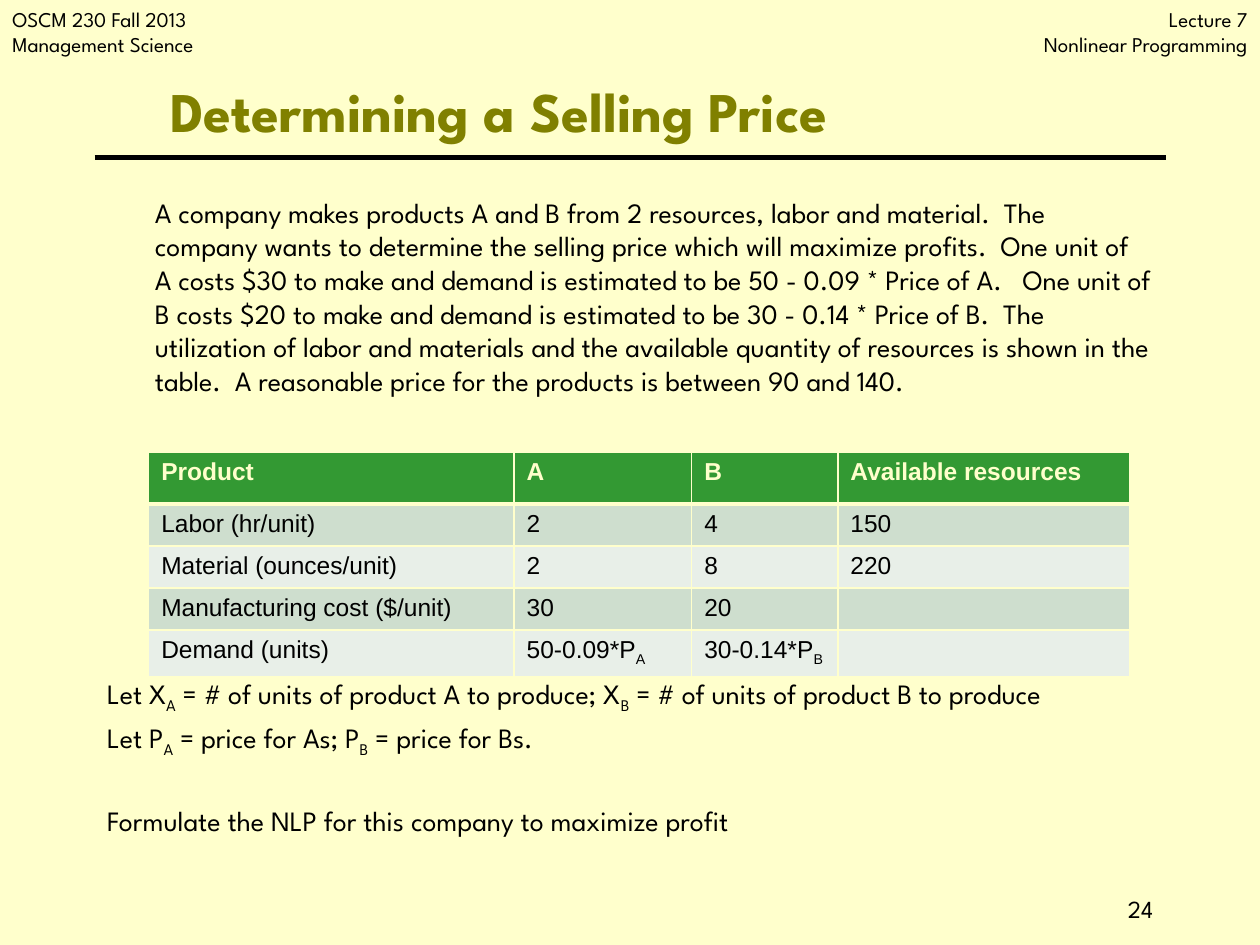
from dataclasses import dataclass

from lxml import etree
from pptx import Presentation
from pptx.dml.color import RGBColor
from pptx.enum.shapes import MSO_CONNECTOR
from pptx.enum.text import MSO_ANCHOR, MSO_AUTO_SIZE, PP_ALIGN
from pptx.oxml.ns import qn
from pptx.util import Inches, Pt

LEFT, RIGHT = PP_ALIGN.LEFT, PP_ALIGN.RIGHT
TOP, MIDDLE, BOTTOM = MSO_ANCHOR.TOP, MSO_ANCHOR.MIDDLE, MSO_ANCHOR.BOTTOM
STRAIGHT = MSO_CONNECTOR.STRAIGHT
NO_AUTOFIT = MSO_AUTO_SIZE.NONE


@dataclass(frozen=True)
class Style:
    size: float
    color: str
    font: str = "League Spartan"
    bold: bool = False


@dataclass(frozen=True)
class Theme:
    background: str = "FFFFCC"
    ink: str = "000000"
    header_fill: str = "339933"
    band_fills: tuple[str, str] = ("CEDECE", "E8EFE8")
    title: Style = Style(32, "808000", bold=True)
    body: Style = Style(16, "000000")
    corner: Style = Style(12, "000000")
    number: Style = Style(14, "000000")
    table_header: Style = Style(14, "FFFFCC", "Arial", True)
    table_cell: Style = Style(14, "000000", "Arial")


@dataclass(frozen=True)
class Box:
    left: float
    top: float
    width: float
    height: float

    def lengths(self) -> tuple:
        return tuple(Inches(n) for n in (self.left, self.top, self.width, self.height))


@dataclass(frozen=True)
class BodyParagraph:
    text: str
    space_before: float
    first_indent: float = -0.38


@dataclass(frozen=True)
class Label:
    box: Box
    lines: tuple[str, ...]
    style: Style
    align: PP_ALIGN
    anchor: MSO_ANCHOR


THEME = Theme()
LINE_GAP = 3.2
LINE_PITCH = 22.4

LABELS = (
    Label(Box(0, 0, 2.03, 0.5), ("OSCM 230 Fall 2013", "Management Science"),
          THEME.corner, LEFT, MIDDLE),
    Label(Box(7.88, 0, 2.12, 0.5), ("Lecture 7", "Nonlinear Programming"),
          THEME.corner, RIGHT, MIDDLE),
    Label(Box(7.17, 6.83, 2.08, 0.5), ("24",), THEME.number, RIGHT, BOTTOM),
)

# An underscore marks the next letter as a subscript.
BODY = (
    BodyParagraph(
        "A company makes products A and B from 2 resources, labor and material.  "
        "The company wants to determine the selling price which will maximize profits.  "
        "One unit of A costs $30 to make and demand is estimated to be "
        "50 - 0.09 * Price of A.   One unit of B costs $20 to make and demand is "
        "estimated to be 30 - 0.14 * Price of B.  The utilization of labor and materials "
        "and the available quantity of resources is shown in the table.  A reasonable "
        "price for the products is between 90 and 140.", LINE_GAP, 0),
    BodyParagraph("Let X_A = # of units of product A to produce; "
                  "X_B = # of units of product B to produce", LINE_GAP + 7 * LINE_PITCH),
    BodyParagraph("Let P_A = price for As; P_B = price for Bs.", LINE_GAP),
    BodyParagraph("Formulate the NLP for this company to maximize profit",
                  LINE_GAP + LINE_PITCH),
)

TABLE_BOX = Box(1.18, 3.59, 7.79, 1.71)
COLUMN_WIDTHS = (2.9, 1.41, 1.16, 2.32)
ROW_HEIGHTS = (0.41, 0.32, 0.32, 0.32, 0.34)
TABLE_ROWS = (
    ("Product", "A", "B", "Available resources"),
    ("Labor (hr/unit)", "2", "4", "150"),
    ("Material (ounces/unit)", "2", "8", "220"),
    ("Manufacturing cost ($/unit)", "30", "20", ""),
    ("Demand (units)", "50-0.09*P_A", "30-0.14*P_B", ""),
)


def rgb(color: str) -> RGBColor:
    return RGBColor.from_string(color)


def add_run(paragraph, text: str, style: Style, subscript: bool = False) -> None:
    run = paragraph.add_run()
    run.text = text
    font = run.font
    font.name, font.size, font.bold = style.font, Pt(style.size), style.bold
    font.color.rgb = rgb(style.color)
    if subscript:
        run._r.get_or_add_rPr().set("baseline", "-25000")


def add_marked_text(paragraph, text: str, style: Style) -> None:
    """Add runs, turning each letter after an underscore into a subscript."""
    first, *others = text.split("_")
    if first:
        add_run(paragraph, first, style)
    for part in others:
        add_run(paragraph, part[0], style, subscript=True)
        if part[1:]:
            add_run(paragraph, part[1:], style)


def paragraph_at(frame, index: int):
    return frame.paragraphs[0] if index == 0 else frame.add_paragraph()


def place(shape, box: Box) -> None:
    shape.left, shape.top, shape.width, shape.height = box.lengths()


def add_label(slide, label: Label) -> None:
    frame = slide.shapes.add_textbox(*label.box.lengths()).text_frame
    frame.word_wrap = True
    frame.vertical_anchor = label.anchor
    if label.anchor == BOTTOM:
        frame.margin_bottom = 0
    for index, line in enumerate(label.lines):
        paragraph = paragraph_at(frame, index)
        paragraph.alignment = label.align
        add_run(paragraph, line, label.style)


def add_rule(slide) -> None:
    rule = slide.shapes.add_connector(
        STRAIGHT, Inches(0.75), Inches(1.25), Inches(9.25), Inches(1.25))
    rule.line.color.rgb = rgb(THEME.ink)
    rule.line.width = Pt(3)
    etree.SubElement(rule._element.spPr, qn("a:effectLst"))


def fill_title(title) -> None:
    place(title, Box(1.25, 0.25, 8.5, 1.25))
    frame = title.text_frame
    frame.auto_size = NO_AUTOFIT
    frame.vertical_anchor = MIDDLE
    frame.paragraphs[0].alignment = LEFT
    add_run(frame.paragraphs[0], "Determining a Selling Price", THEME.title)


def fill_body(body) -> None:
    place(body, Box(0.75, 1.5, 8.5, 5.25))
    frame = body.text_frame
    frame.auto_size = NO_AUTOFIT
    frame.vertical_anchor = TOP
    for index, item in enumerate(BODY):
        paragraph = paragraph_at(frame, index)
        paragraph.space_before = Pt(item.space_before)
        properties = paragraph._p.get_or_add_pPr()
        properties.set("marL", str(Inches(0.38)))
        properties.set("indent", str(Inches(item.first_indent)))
        etree.SubElement(properties, qn("a:buNone"))
        add_marked_text(paragraph, item.text, THEME.body)


def set_borders(cell, bottom_width: float, top_width: float) -> None:
    properties = cell._tc.get_or_add_tcPr()
    widths = {"a:lnL": 1, "a:lnR": 1, "a:lnT": top_width, "a:lnB": bottom_width}
    for position, (tag, width) in enumerate(widths.items()):
        line = etree.Element(qn(tag), w=str(Pt(width)))
        fill = etree.SubElement(line, qn("a:solidFill"))
        etree.SubElement(fill, qn("a:srgbClr"), val=THEME.background)
        properties.insert(position, line)


def add_resource_table(slide) -> None:
    table = slide.shapes.add_table(
        len(TABLE_ROWS), len(COLUMN_WIDTHS), *TABLE_BOX.lengths()).table
    for column, width in zip(table.columns, COLUMN_WIDTHS):
        column.width = Inches(width)
    for row, height in zip(table.rows, ROW_HEIGHTS):
        row.height = Inches(height)
    for row_index, texts in enumerate(TABLE_ROWS):
        is_header = row_index == 0
        style = THEME.table_header if is_header else THEME.table_cell
        fill = THEME.header_fill if is_header else THEME.band_fills[(row_index - 1) % 2]
        for column_index, text in enumerate(texts):
            cell = table.cell(row_index, column_index)
            cell.fill.solid()
            cell.fill.fore_color.rgb = rgb(fill)
            set_borders(cell, 3 if is_header else 1, 3 if row_index == 1 else 1)
            paragraph = cell.text_frame.paragraphs[0]
            paragraph.font.size = Pt(style.size)
            add_marked_text(paragraph, text, style)


def main() -> None:
    presentation = Presentation()
    presentation.slide_width, presentation.slide_height = Inches(10), Inches(7.5)
    slide = presentation.slides.add_slide(presentation.slide_layouts[1])
    slide.background.fill.solid()
    slide.background.fill.fore_color.rgb = rgb(THEME.background)
    add_rule(slide)
    fill_title(slide.shapes.title)
    fill_body(slide.placeholders[1])
    for label in LABELS:
        add_label(slide, label)
    add_resource_table(slide)
    presentation.save("out.pptx")


if __name__ == "__main__":
    main()
